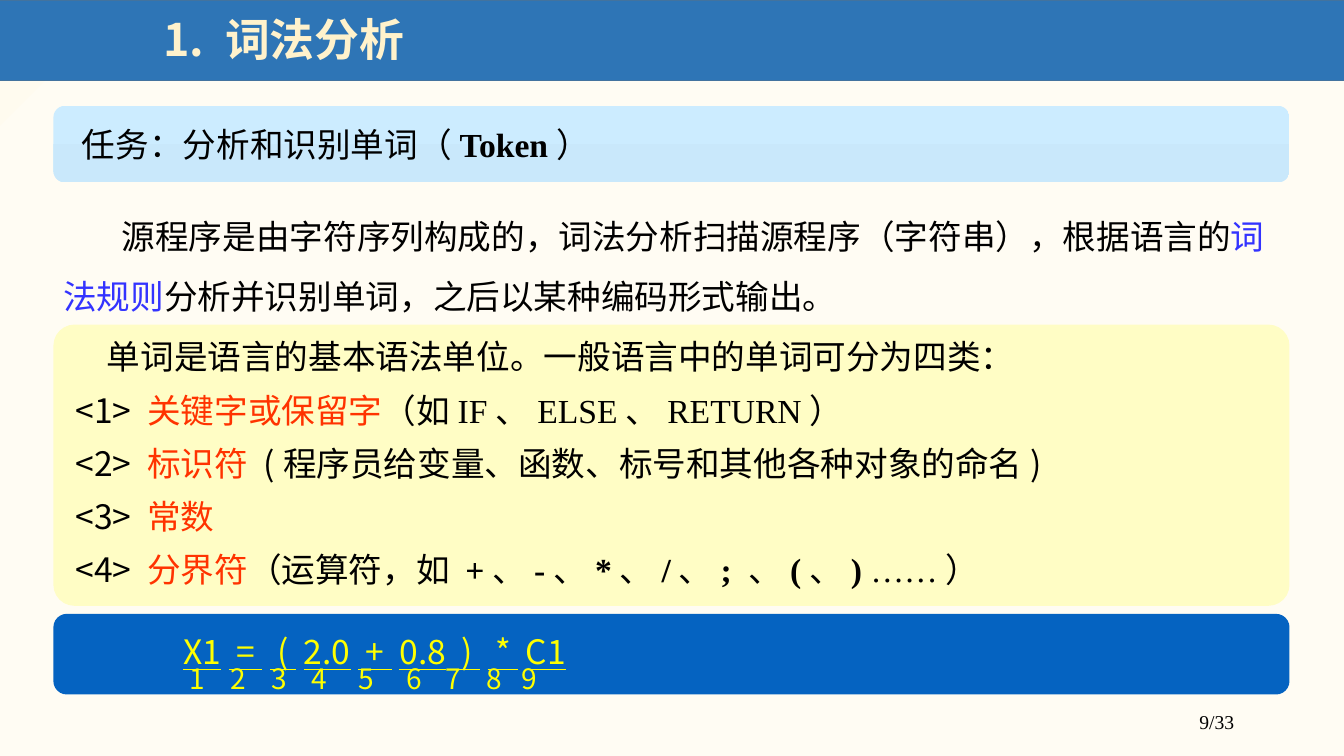
from lxml import etree
from pptx import Presentation
from pptx.dml.color import RGBColor
from pptx.enum.shapes import MSO_SHAPE as SHAPE
from pptx.enum.text import MSO_ANCHOR as ANCHOR, PP_ALIGN as ALIGN
from pptx.oxml.ns import qn
from pptx.util import Inches, Pt

SANS, SERIF = "Noto Sans CJK SC", "Times New Roman"
BLACK = RGBColor(0x00, 0x00, 0x00)
CREAM = RGBColor(0xFF, 0xF2, 0xCC)
RED = RGBColor(0xFF, 0x33, 0x00)
INDIGO = RGBColor(0x33, 0x33, 0xFF)
YELLOW = RGBColor(0xFF, 0xFF, 0x00)
PALE_YELLOW = RGBColor(0xFF, 0xFF, 0x99)
BAND_BLUE = RGBColor(0x2E, 0x75, 0xB6)
BAND_EDGE = RGBColor(0x43, 0x73, 0x9E)
DEEP_BLUE = RGBColor(0x05, 0x63, 0xC1)
PAPER = [(0.88, RGBColor(0xFF, 0xFC, 0xF3)), (1, RGBColor(0xFF, 0xFB, 0xEF))]
SKY = [(0, RGBColor(0xCC, 0xEC, 0xFF)), (1, RGBColor(0xC9, 0xE8, 0xFB))]

PANEL_LEFT, PANEL_WIDTH = 0.53, 12.26
SERIF_STYLE = {"name": SERIF}
BOLD_SERIF = {"name": SERIF, "bold": True}
RED_STYLE = {"color": RED}

TITLE = [("1. 词法分析", {"size": 32, "color": CREAM, "bold": True})]
PAGE = [("9/33", {"size": 14, "name": SERIF})]
TASK = [("任务：分析和识别单词（", {}), ("Token", BOLD_SERIF), ("）", {})]
OVERVIEW = [
    ("源程序是由字符序列构成的，词法分析扫描源程序（字符串），根据语言的", {}),
    ("词法规则", {"color": INDIGO}),
    ("分析并识别单词，之后以某种编码形式输出。", {}),
]
INTRO = [("单词是语言的基本语法单位。一般语言中的单词可分为四类：", {})]
DELIMITERS = ["+", "-", "*", "/", "; ", "(", ") "]
CATEGORIES = [
    ("关键字或保留字", [("（如", {}), ("IF、ELSE、RETURN", SERIF_STYLE), ("）", {})]),
    ("标识符 ", [("(程序员给变量、函数、标号和其他各种对象的命名)", {})]),
    ("常数", []),
    ("分界符", [("（运算符，如 ", {})]
     + [part for mark in DELIMITERS for part in (("、", SERIF_STYLE), (mark, BOLD_SERIF))][1:]
     + [("……", SERIF_STYLE), ("）", {})]),
]
TOKENS = [("X1", 0.06), (" = ", 0.47), (" ( ", 0.87), ("2.0", 1.27), (" + ", 1.74),
          ("0.8", 2.21), (" ) ", 2.6), (" * ", 3.01), ("C1", 3.35)]


def set_gradient(fill, stops, angle):
    fill.gradient()
    fill.gradient_angle = angle
    for stop, (position, color) in zip(fill.gradient_stops, stops):
        stop.position = position
        stop.color.rgb = color


def add_panel(slide, kind, left, top, width, height, color=None, corner=None):
    shape = slide.shapes.add_shape(kind, Inches(left), Inches(top), Inches(width), Inches(height))
    shape.shadow.inherit = False
    shape.line.fill.background()
    if corner:
        shape.adjustments[0] = corner
    if color:
        shape.fill.solid()
        shape.fill.fore_color.rgb = color
    return shape


def add_box(slide, left, top, width, height):
    return slide.shapes.add_textbox(Inches(left), Inches(top), Inches(width), Inches(height))


def set_frame(shape, anchor, margin=0.1):
    frame = shape.text_frame
    frame.word_wrap = True
    frame.vertical_anchor = anchor
    frame.margin_left = Inches(margin)
    return frame


def write(paragraph, runs, spacing=1.0, indent=0, before=0, align=ALIGN.LEFT):
    paragraph.alignment = align
    paragraph.line_spacing = spacing
    if before:
        paragraph.space_before = Pt(before)
    if indent:
        properties = paragraph._p.get_or_add_pPr()
        properties.set("marL", "0")
        properties.set("indent", str(Inches(indent)))
    for text, style in runs:
        run = paragraph.add_run()
        run.text = text
        font = run.font
        font.name = style.get("name", SANS)
        font.size = Pt(style.get("size", 24))
        font.bold = style.get("bold", False)
        font.underline = style.get("underline", False)
        font.color.rgb = style.get("color", BLACK)
        east_asian = etree.SubElement(font._element, qn("a:ea"))
        east_asian.set("typeface", SANS)


def set_tabs(paragraph, positions):
    tabs = etree.SubElement(paragraph._p.get_or_add_pPr(), qn("a:tabLst"))
    for position in positions:
        etree.SubElement(tabs, qn("a:tab"), pos=str(Inches(position)), algn="l")


def add_header(slide):
    band = add_panel(slide, SHAPE.RECTANGLE, -0.02, 0, 13.36, 0.8, BAND_BLUE)
    band.line.color.rgb = BAND_EDGE
    band.line.width = Pt(1)
    title = set_frame(add_box(slide, 1.52, 0, 10.97, 0.83), ANCHOR.MIDDLE)
    write(title.paragraphs[0], TITLE, 0.9)
    page = set_frame(add_box(slide, 9.56, 6.83, 2.78, 0.5), ANCHOR.BOTTOM)
    write(page.paragraphs[0], PAGE, align=ALIGN.RIGHT)


def add_categories(slide):
    panel = add_panel(slide, SHAPE.ROUNDED_RECTANGLE, PANEL_LEFT, 3.22, PANEL_WIDTH, 2.79,
                      PALE_YELLOW, 0.075)
    color = panel.fill._xPr.find(qn("a:solidFill"))[0]
    etree.SubElement(color, qn("a:alpha"), val="50000")
    frame = set_frame(panel, ANCHOR.MIDDLE, 0.16)
    write(frame.paragraphs[0], INTRO, 0.9, 0.31)
    for number, (name, details) in enumerate(CATEGORIES, 1):
        runs = [(f"<{number}> ", {}), (name, RED_STYLE)] + details
        write(frame.add_paragraph(), runs, 0.9, before=12)


def add_example(slide):
    panel = add_panel(slide, SHAPE.FLOWCHART_ALTERNATE_PROCESS, PANEL_LEFT, 6.09, PANEL_WIDTH, 0.8,
                      DEEP_BLUE)
    frame = set_frame(panel, ANCHOR.TOP, 1.25)
    frame.margin_top, frame.margin_bottom = Inches(0.24), 0
    expression = []
    for token, _ in TOKENS:
        expression += [(token, {"color": YELLOW, "underline": True}), (" ", {"color": YELLOW})]
    write(frame.paragraphs[0], expression[:-1], 0.7)
    numbers = frame.add_paragraph()
    numbers.line_spacing = 0.7
    set_tabs(numbers, [position for _, position in TOKENS])
    labels = "".join(f"\t{number}" for number in range(1, len(TOKENS) + 1))
    write(numbers, [(labels, {"size": 20, "color": YELLOW})], 0.7)


def main():
    """Build the lexical analysis slide."""
    presentation = Presentation()
    presentation.slide_width, presentation.slide_height = Inches(13.33), Inches(7.5)
    slide = presentation.slides.add_slide(presentation.slide_layouts[6])
    set_gradient(slide.background.fill, PAPER, 135)
    add_header(slide)
    add_categories(slide)
    add_example(slide)
    overview = set_frame(add_box(slide, PANEL_LEFT, 1.89, PANEL_WIDTH, 1.24), ANCHOR.TOP)
    write(overview.paragraphs[0], OVERVIEW, 1.5, 0.58)
    task = add_panel(slide, SHAPE.ROUNDED_RECTANGLE, PANEL_LEFT, 1.05, PANEL_WIDTH, 0.76,
                     corner=0.151)
    set_gradient(task.fill, SKY, 270)
    write(set_frame(task, ANCHOR.MIDDLE, 0.25).paragraphs[0], TASK)
    presentation.save("out.pptx")


if __name__ == "__main__":
    main()
